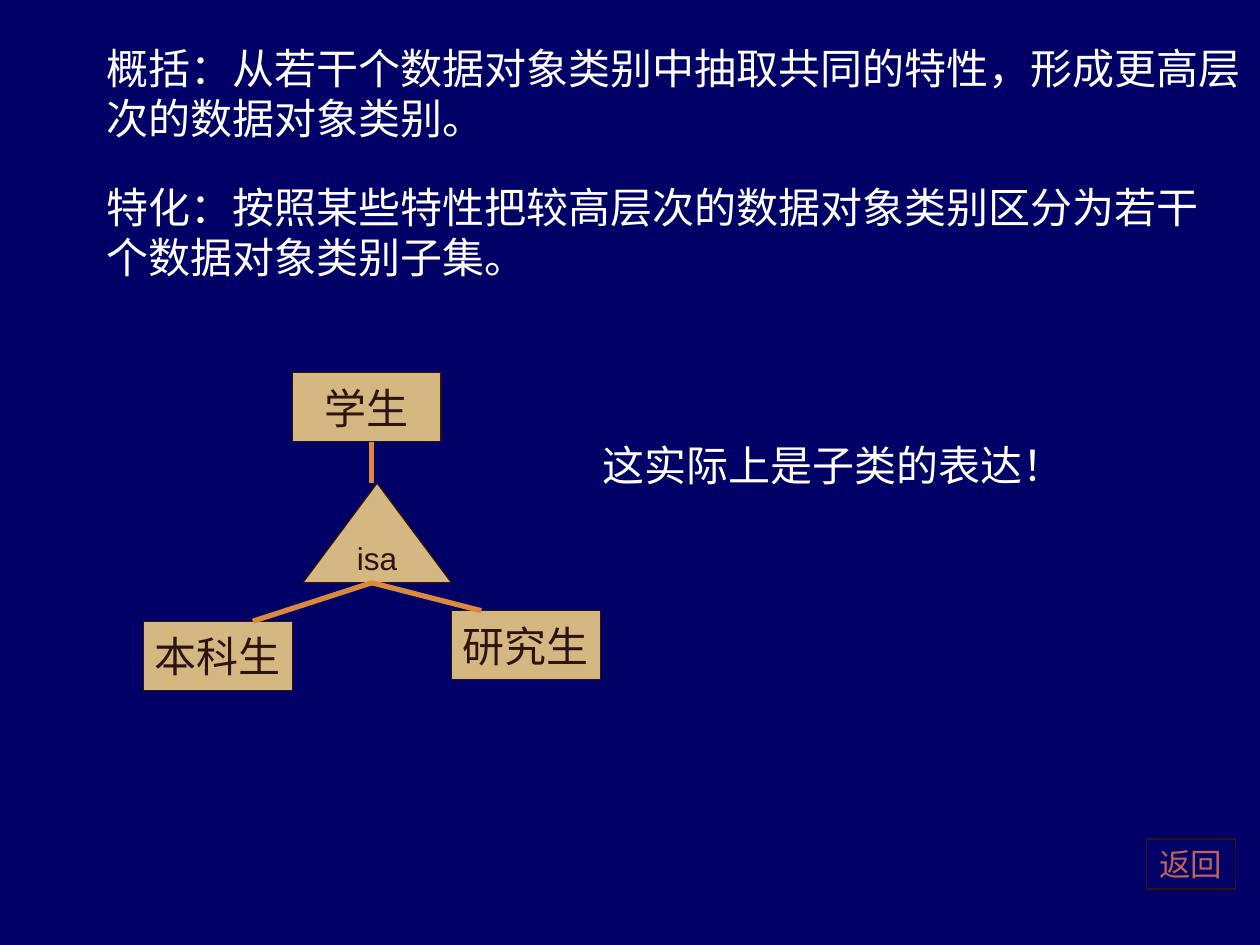
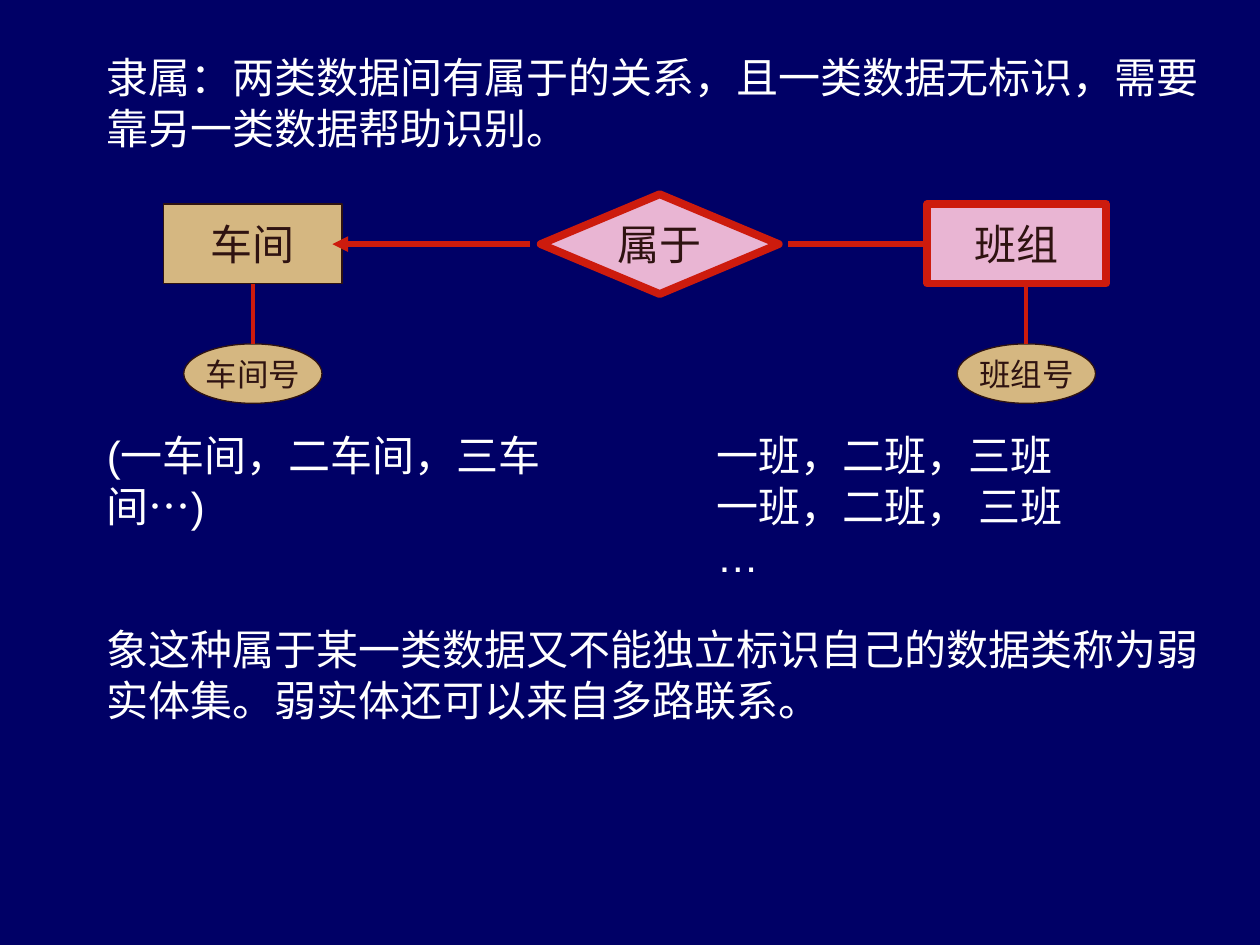
from dataclasses import dataclass

from lxml.etree import SubElement
from pptx import Presentation
from pptx.dml.color import RGBColor
from pptx.enum.shapes import MSO_CONNECTOR, MSO_SHAPE
from pptx.enum.text import MSO_ANCHOR, PP_ALIGN
from pptx.oxml.ns import qn
from pptx.util import Pt


@dataclass(frozen=True)
class Theme:
    font: str = "Arial"
    large: int = 24
    small: int = 18
    background: str = "000066"
    text: str = "FFFFFF"
    ink: str = "2F1311"
    tan: str = "D5B781"
    pink: str = "E9B5D3"
    red: str = "CD1B0D"
    orange: str = "DC893E"
    link: str = "C16059"


T = Theme()
MARGIN = 54
BODY_WIDTH = 655


def rgb(value):
    return RGBColor.from_string(value)


def write(tf, text, size=T.large, color=T.text, align=PP_ALIGN.LEFT,
          anchor=MSO_ANCHOR.TOP, wrap=True):
    """Put text in a frame, one paragraph per line."""
    tf.word_wrap = wrap
    tf.vertical_anchor = anchor
    for i, line in enumerate(text.split("\n")):
        p = tf.paragraphs[0] if i == 0 else tf.add_paragraph()
        p.alignment = align
        r = p.add_run()
        r.text = line
        r.font.name = T.font
        r.font.size = Pt(size)
        r.font.color.rgb = rgb(color)


def add_text(s, text, left, top, width=BODY_WIDTH, height=65):
    box = s.shapes.add_textbox(Pt(left), Pt(top), Pt(width), Pt(height))
    write(box.text_frame, text)


def add_node(s, text, left, top, width, height, kind=MSO_SHAPE.RECTANGLE,
             fill=T.tan, line=T.ink, weight=0.75, size=T.large, color=T.ink):
    sp = s.shapes.add_shape(kind, Pt(left), Pt(top), Pt(width), Pt(height))
    sp.shadow.inherit = False
    sp.fill.solid()
    sp.fill.fore_color.rgb = rgb(fill)
    sp.line.color.rgb = rgb(line)
    sp.line.width = Pt(weight)
    write(sp.text_frame, text, size, color, PP_ALIGN.CENTER,
          MSO_ANCHOR.MIDDLE, wrap=False)


def add_line(s, x1, y1, x2, y2, color=T.red, weight=3, arrow=False):
    c = s.shapes.add_connector(MSO_CONNECTOR.STRAIGHT,
                               Pt(x1), Pt(y1), Pt(x2), Pt(y2))
    c.line.color.rgb = rgb(color)
    c.line.width = Pt(weight)
    if arrow:
        SubElement(c.line._get_or_add_ln(), qn("a:tailEnd"), type="triangle")
    SubElement(c._element.spPr, qn("a:effectLst"))


def isa_diagram(s, left, top):
    """Parent class above an isa triangle and two subclasses."""
    width, height = 85, 39.5
    apex, base = top + 63, top + 120
    hub = left + 130.5

    # Classes
    for name, dx, dy in (("学生", 85, 0), ("本科生", 0, 142), ("研究生", 176, 136)):
        add_node(s, name, left + dx, top + dy, width, height)
    add_node(s, "isa", left + 91, apex, width, base - apex,
             MSO_SHAPE.ISOSCELES_TRIANGLE, size=T.small)

    # Links
    add_line(s, hub, apex, hub, top + height, T.orange)
    for dx, dy in ((62.5, 142), (193, 136)):
        add_line(s, hub, base, left + dx, top + dy, T.orange)


def entity(s, name, key, left, top, key_dx, **style):
    """Entity rectangle with its key attribute hanging below."""
    width, height = 102, 45.5
    key_left, key_top, key_width = left + key_dx, top + 80, 79
    add_node(s, name, left, top, width, height, **style)
    add_node(s, key, key_left, key_top, key_width, 34, MSO_SHAPE.OVAL,
             size=T.small)
    stem = key_left + key_width / 2
    add_line(s, stem, key_top, stem, top + height, weight=2.25)


def weak_entity_diagram(s, left, top):
    """Owner entity, identifying relationship and weak entity."""
    weak = dict(fill=T.pink, line=T.red, weight=4.5)
    weak_left, middle = left + 436.5, top + 23

    entity(s, "车间", "车间号", left, top, 11.5)
    entity(s, "班组", "班组号", weak_left, top, 17, **weak)
    add_node(s, "属于", left + 215.5, middle - 28.5, 136, 57,
             MSO_SHAPE.DIAMOND, **weak)
    add_line(s, left + 209.5, middle, left + 96.5, middle, arrow=True)
    add_line(s, left + 357, middle, weak_left, middle)


def generalization_slide(s):
    # Definitions
    add_text(s, "概括：从若干个数据对象类别中抽取共同的特性，形成更高层次的数据对象类别。",
             MARGIN, 20.5, width=666)
    add_text(s, "特化：按照某些特性把较高层次的数据对象类别区分为若干个数据对象类别子集。",
             MARGIN, 100)

    # Example and remark
    isa_diagram(s, 82, 213)
    add_text(s, "这实际上是子类的表达！", 337.5, 247.5, 346, 36)

    # Return button
    add_node(s, "返回", 655, 479.5, 51, 28.5, fill=T.background,
             size=T.small, color=T.link)


def weak_entity_slide(s):
    # Definition and diagram
    add_text(s, "隶属：两类数据间有属于的关系，且一类数据无标识，需要靠另一类数据帮助识别。",
             MARGIN, 26)
    weak_entity_diagram(s, 93.5, 116.5)

    # Sample values
    samples = ("(一车间，二车间，三车间…)", "一班，二班，三班\n一班，二班， 三班\n…")
    for i, text in enumerate(samples):
        add_text(s, text, MARGIN + i * 348.5, 242, 317.5)

    # Conclusion
    add_text(s, "象这种属于某一类数据又不能独立标识自己的数据类称为弱实体集。弱实体还可以来自多路联系。",
             MARGIN, 353)


def main():
    prs = Presentation()
    prs.slide_width, prs.slide_height = Pt(720), Pt(540)
    fill = prs.slide_master.background.fill
    fill.solid()
    fill.fore_color.rgb = rgb(T.background)
    for build in (generalization_slide, weak_entity_slide):
        build(prs.slides.add_slide(prs.slide_layouts[6]))
    prs.save("out.pptx")


if __name__ == "__main__":
    main()
